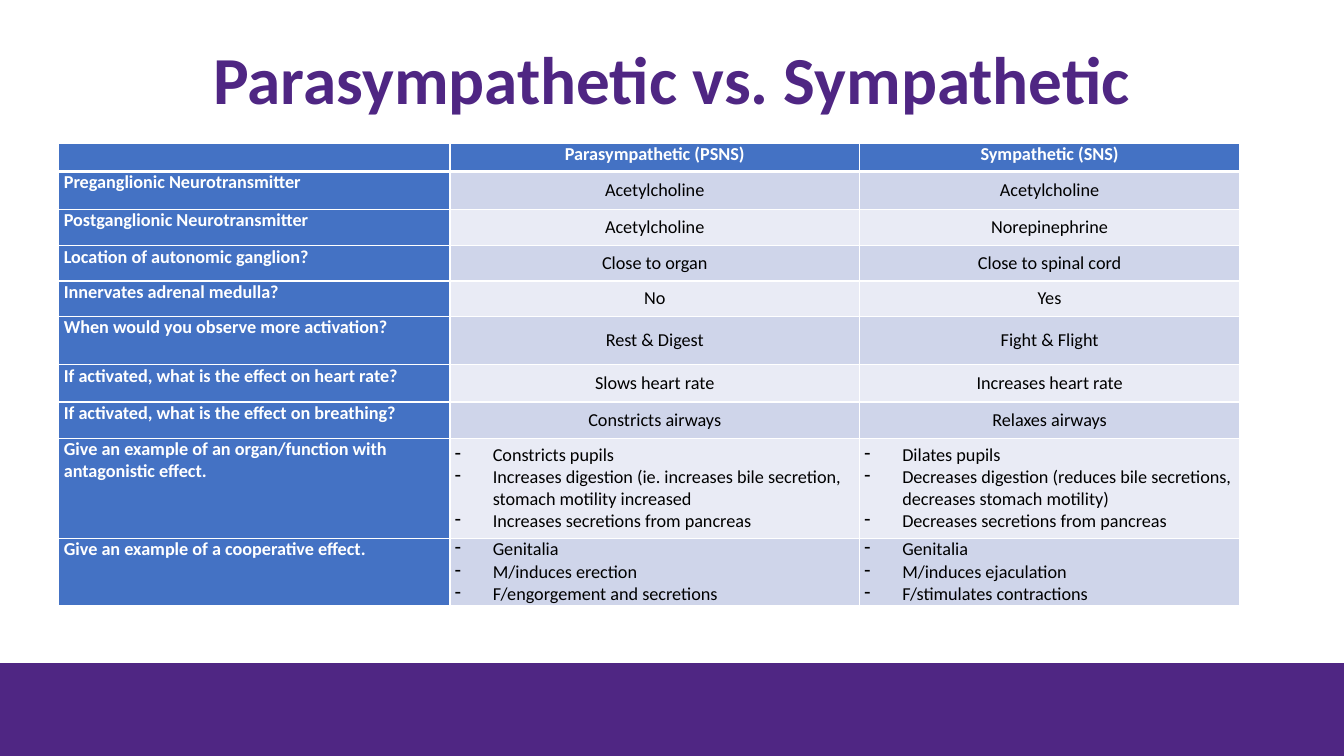
from lxml import etree
from pptx import Presentation
from pptx.dml.color import RGBColor
from pptx.enum.shapes import MSO_SHAPE
from pptx.enum.text import MSO_ANCHOR, PP_ALIGN
from pptx.oxml.ns import qn
from pptx.util import Pt

CENTER, LEFT = PP_ALIGN.CENTER, PP_ALIGN.LEFT
TOP, MIDDLE = MSO_ANCHOR.TOP, MSO_ANCHOR.MIDDLE
RECTANGLE = MSO_SHAPE.RECTANGLE

FONT = "Calibri"
PURPLE, BLUE = "4F2683", "4472C4"
WHITE, BLACK = "FFFFFF", "000000"
BANDS = ["E9EBF5", "CFD5EA"]
TEXT_SIZE = 13
BULLET_INDENT = 27

COLUMN_WIDTHS = [279.4, 292.5, 271.6]
ROW_HEIGHTS = [20.2, 27, 26, 25.2, 25.2, 34.6, 26.6, 25.9, 71.7, 47.6]

# A list in a cell is shown as dashed bullets.
ROWS = [
    ["", "Parasympathetic (PSNS)", "Sympathetic (SNS)"],
    ["Preganglionic Neurotransmitter", "Acetylcholine", "Acetylcholine"],
    ["Postganglionic Neurotransmitter", "Acetylcholine", "Norepinephrine"],
    ["Location of autonomic ganglion?", "Close to organ", "Close to spinal cord"],
    ["Innervates adrenal medulla?", "No", "Yes"],
    ["When would you observe more activation?", "Rest & Digest", "Fight & Flight"],
    ["If activated, what is the effect on heart rate?",
     "Slows heart rate", "Increases heart rate"],
    ["If activated, what is the effect on breathing?",
     "Constricts airways", "Relaxes airways"],
    ["Give an example of an organ/function with antagonistic effect.",
     ["Constricts pupils",
      "Increases digestion (ie. increases bile secretion, stomach motility increased",
      "Increases secretions from pancreas"],
     ["Dilates pupils",
      "Decreases digestion (reduces bile secretions, decreases stomach motility)",
      "Decreases secretions from pancreas"]],
    ["Give an example of a cooperative effect.",
     ["Genitalia", "M/induces erection", "F/engorgement and secretions"],
     ["Genitalia", "M/induces ejaculation", "F/stimulates contractions"]],
]


def rgb(color):
    return RGBColor.from_string(color)


def format_runs(p, size, color, bold):
    for r in p.runs:
        r.font.name = FONT
        r.font.size = Pt(size)
        r.font.bold = bold
        r.font.color.rgb = rgb(color)


def add_title(s, text):
    tf = s.shapes.add_textbox(Pt(66), Pt(16), Pt(828), Pt(86.4)).text_frame
    tf.word_wrap = True
    tf.vertical_anchor = MIDDLE
    tf.text = text
    p = tf.paragraphs[0]
    p.alignment = CENTER
    p.line_spacing = 0.9
    format_runs(p, 48, PURPLE, True)


def add_footer_band(s):
    sp = s.shapes.add_shape(RECTANGLE, Pt(0), Pt(473.6), Pt(960), Pt(66.4))
    sp.shadow.inherit = False
    sp.fill.solid()
    sp.fill.fore_color.rgb = rgb(PURPLE)
    sp.line.fill.background()


def add_dash(p):
    pPr = p._p.get_or_add_pPr()
    pPr.set("marL", str(Pt(BULLET_INDENT)))
    pPr.set("indent", str(-Pt(BULLET_INDENT)))
    etree.SubElement(pPr, qn("a:buChar")).set("char", "-")


def set_borders(cell, widths):
    """Draw white borders; widths maps the side letters L, R, T, B to points."""
    tcPr = cell._tc.get_or_add_tcPr()
    for side, width in widths.items():
        ln = etree.SubElement(tcPr, qn(f"a:ln{side}"), w=str(Pt(width)))
        fill = etree.SubElement(ln, qn("a:solidFill"))
        etree.SubElement(fill, qn("a:srgbClr"), val=WHITE)


def fill_cell(cell, content, row, column):
    is_header = row == 0 or column == 0
    has_bullets = isinstance(content, list)
    set_borders(cell, {"L": 1, "R": 1, "T": 3 if row == 1 else 1,
                       "B": 3 if row == 0 else 1})
    cell.fill.solid()
    cell.fill.fore_color.rgb = rgb(BLUE if is_header else BANDS[row % 2])
    cell.margin_left = cell.margin_right = Pt(3.6)
    cell.margin_top = cell.margin_bottom = Pt(0)
    cell.vertical_anchor = TOP if is_header else MIDDLE
    cell.text_frame.text = "\n".join(content) if has_bullets else content
    for p in cell.text_frame.paragraphs:
        p.alignment = LEFT if column == 0 or has_bullets else CENTER
        if has_bullets:
            add_dash(p)
        format_runs(p, TEXT_SIZE, WHITE if is_header else BLACK, is_header)
        if not p.runs:
            # Keeps an empty cell from stretching its row
            etree.SubElement(p._p, qn("a:endParaRPr"), sz=str(TEXT_SIZE * 100))


def add_comparison_table(s):
    table = s.shapes.add_table(
        len(ROWS), len(COLUMN_WIDTHS), Pt(42), Pt(102.4),
        Pt(sum(COLUMN_WIDTHS)), Pt(sum(ROW_HEIGHTS))).table
    for column, width in zip(table.columns, COLUMN_WIDTHS):
        column.width = Pt(width)
    for i, (height, contents) in enumerate(zip(ROW_HEIGHTS, ROWS)):
        table.rows[i].height = Pt(height)
        for j, content in enumerate(contents):
            fill_cell(table.cell(i, j), content, i, j)


def main():
    prs = Presentation()
    prs.slide_width, prs.slide_height = Pt(960), Pt(540)
    s = prs.slides.add_slide(prs.slide_layouts[6])
    add_title(s, "Parasympathetic vs. Sympathetic")
    add_footer_band(s)
    add_comparison_table(s)
    prs.save("out.pptx")


if __name__ == "__main__":
    main()
